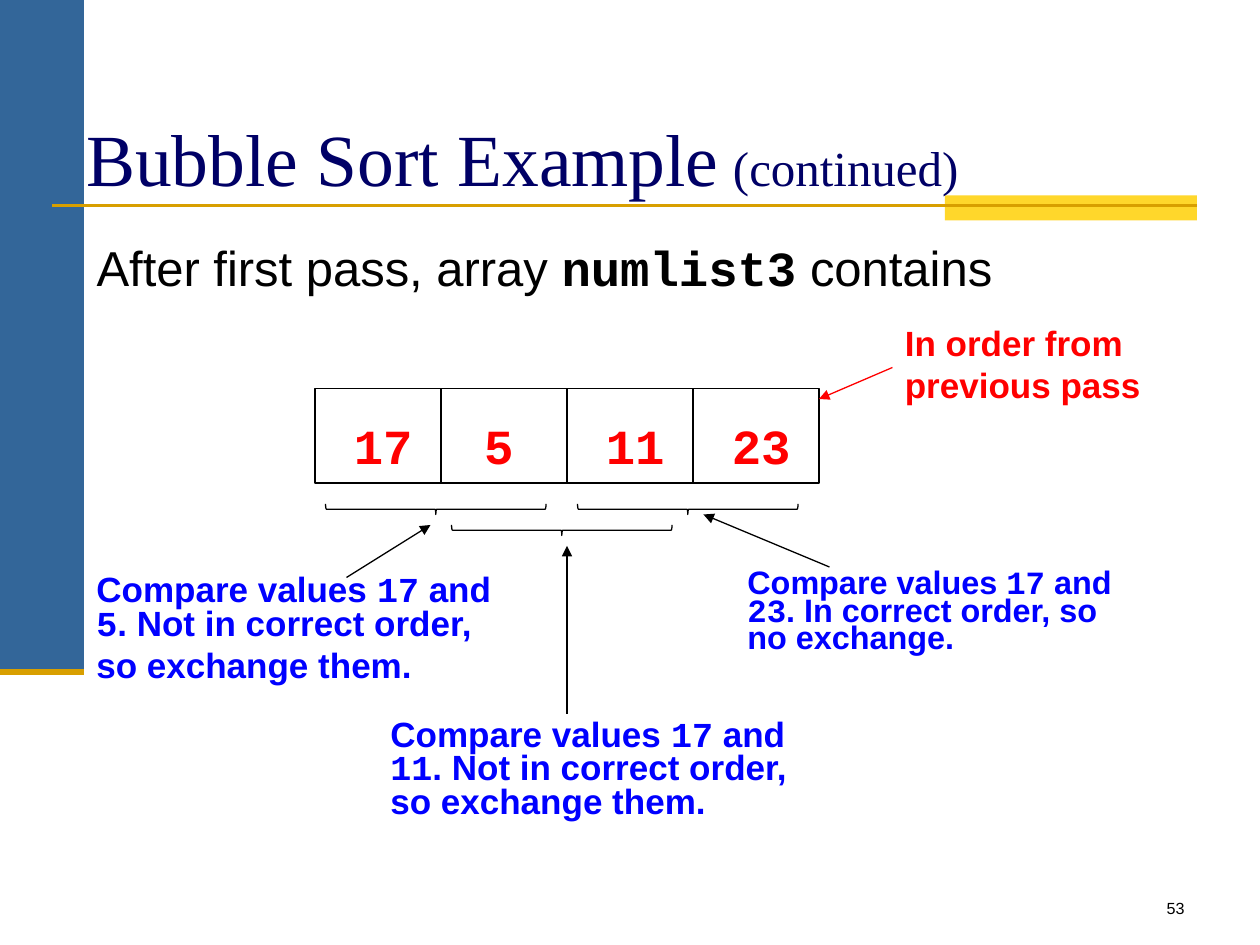
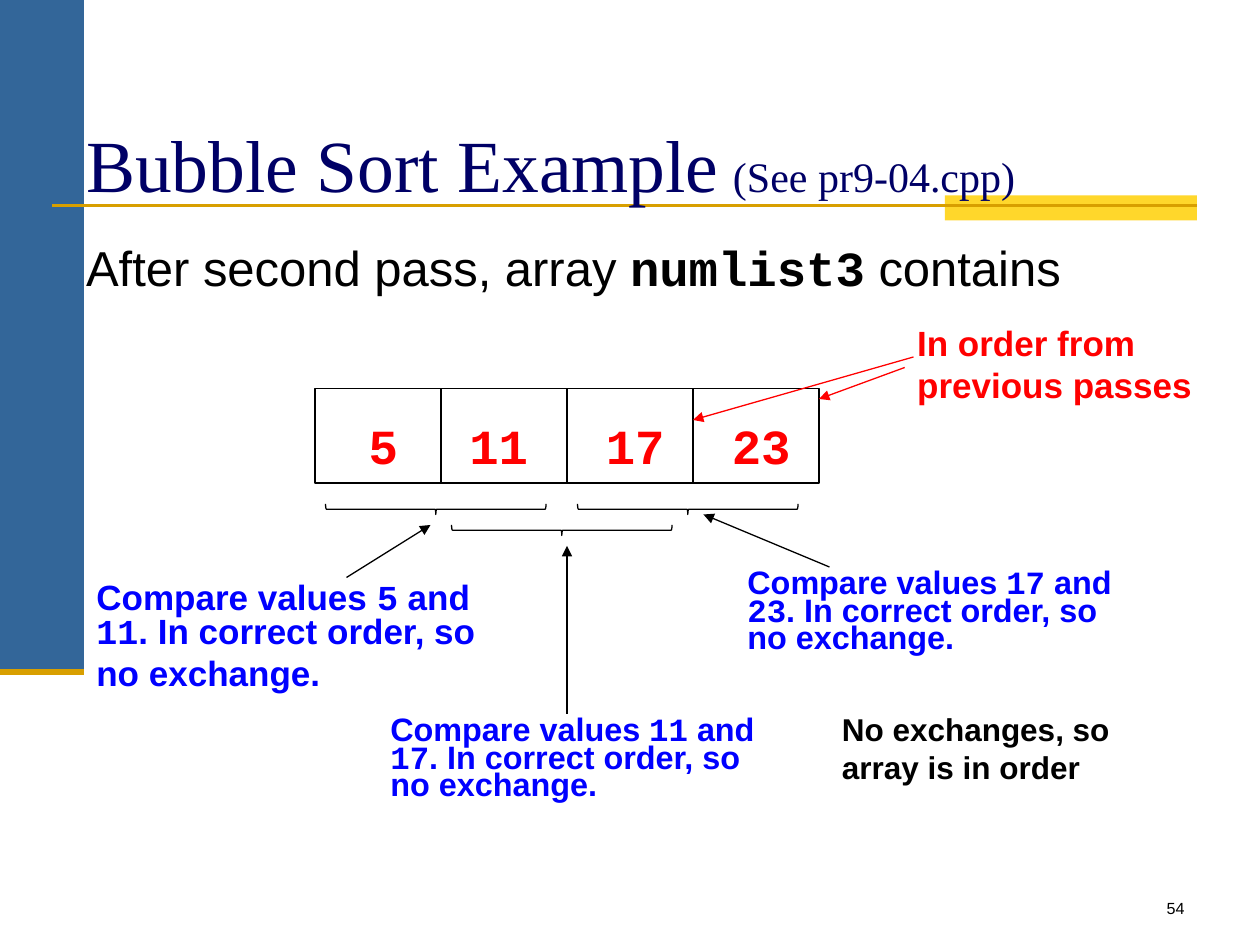
"""Builds two slides that follow the passes of a bubble sort."""
from lxml import etree
from pptx import Presentation
from pptx.dml.color import RGBColor
from pptx.enum.shapes import MSO_CONNECTOR, MSO_SHAPE
from pptx.enum.text import MSO_ANCHOR, MSO_AUTO_SIZE, PP_ALIGN
from pptx.oxml.ns import qn
from pptx.util import Pt

RECTANGLE, BRACE = MSO_SHAPE.RECTANGLE, MSO_SHAPE.RIGHT_BRACE
STRAIGHT = MSO_CONNECTOR.STRAIGHT
LEFT, CENTER, RIGHT = PP_ALIGN.LEFT, PP_ALIGN.CENTER, PP_ALIGN.RIGHT
TOP, MIDDLE = MSO_ANCHOR.TOP, MSO_ANCHOR.MIDDLE
NO_AUTOFIT = MSO_AUTO_SIZE.NONE

SANS, SERIF, MONO = "Arial", "Times New Roman", "Courier New"
BLACK, RED, BLUE, NAVY = "000000", "FF0000", "0000FF", "000066"
STEEL, YELLOW, GOLD = "336699", "FFD72B", "D89F00"

TITLE = "Bubble Sort Example"
RIGHT_NOTE = {"lines": ["Compare values `17` and", "`23`. In correct order, so", "no exchange."],
              "at": (420, 324, 240, 65), "size": 18.5, "spacing": [0.7, 0.7, 0.7]}
PASSES = [
    {
        "subtitle": "(continued)", "subtitle_size": 28, "title_at": (42, 54, 642, 72),
        "lead": "After first pass, array `numlist3` contains", "lead_at": (48, 132, 672, 348),
        "values": [17, 5, 11, 23],
        "notes": [
            {"lines": ["Compare values `17` and", "`5`. Not in correct order,", "so exchange them."],
             "at": (48, 325.5, 246, 70.5), "size": 20, "spacing": [0.8, 0.8, 1]},
            RIGHT_NOTE,
            {"lines": ["Compare values `17` and", "`11`. Not in correct order,", "so exchange them."],
             "at": (216, 408, 247, 65), "size": 20, "spacing": [0.8, 0.8, 0.8]},
            {"lines": ["In order from previous pass"],
             "at": (510, 180, 150, 55), "size": 20, "color": RED},
        ],
        "sorted_arrows": [(510, 210, 468, 228)],
        "number": 53,
    },
    {
        "subtitle": "(See pr9-04.cpp)", "subtitle_size": 24, "title_at": (42, 54, 642, 78),
        "lead": "After second pass, array `numlist3` contains", "lead_at": (42, 132, 678, 348),
        "values": [5, 11, 17, 23],
        "notes": [
            {"lines": ["Compare values `5` and", "`11`. In correct order, so", "no exchange."],
             "at": (48, 330, 233, 70), "size": 20, "spacing": [0.8, 0.8, 1]},
            RIGHT_NOTE,
            {"lines": ["Compare values `11` and", "`17`. In correct order, so", "no exchange."],
             "at": (216, 408, 240, 65), "size": 18.5, "spacing": [0.7, 0.7, 0.7]},
            {"lines": ["In order from previous passes"],
             "at": (517, 180, 173.5, 55), "size": 20, "color": RED},
            {"lines": ["No exchanges, so", "array is in order"],
             "at": (474, 402, 225, 65), "size": 18, "color": BLACK},
        ],
        "sorted_arrows": [(517, 210, 468, 228), (522, 204, 396, 240)],
        "number": 54,
    },
]

CELL_LEFT, CELL_TOP, CELL_WIDTH, CELL_HEIGHT = 180, 222, 72, 54
VALUE_SHIFTS = [12, 6, 12, 12]
BRACE_TOPS = [228, 240, 228]
NOTE_ARROWS = [(198, 330, 246, 300), (474, 324, 402, 294), (324, 408, 324, 312)]


def rgb(color):
    """Turn a hex string into a colour."""
    return RGBColor.from_string(color)


def points(numbers):
    """Turn plain numbers into lengths in points."""
    return [Pt(number) for number in numbers]


def style(span, font, size, color, bold=False):
    """Format one run."""
    span.font.name = font
    span.font.size = Pt(size)
    span.font.color.rgb = rgb(color)
    span.font.bold = bold


def write(para, text, size, color, bold=False):
    """Write a line whose parts between backticks are bold code."""
    for index, part in enumerate(text.split("`")):
        if part:
            span = para.add_run()
            span.text = part
            is_code = index % 2 == 1
            style(span, MONO if is_code else SANS, size, color, bold or is_code)


def add_text(slide, at, lines, size, color=BLUE, spacing=None, align=LEFT, bold=True):
    """Add a text box with one paragraph for each line."""
    frame = slide.shapes.add_textbox(*points(at)).text_frame
    frame.word_wrap = True
    if align == LEFT:
        frame.margin_right = 0
    for index, line in enumerate(lines):
        para = frame.paragraphs[0] if index == 0 else frame.add_paragraph()
        para.alignment = align
        if spacing:
            para.line_spacing = spacing[index]
        write(para, line, size, color, bold)


def add_shape(slide, kind, at, fill=None, line=None):
    """Add a plain shape with an optional fill and outline."""
    shape = slide.shapes.add_shape(kind, *points(at))
    shape.shadow.inherit = False
    if fill:
        shape.fill.solid()
        shape.fill.fore_color.rgb = rgb(fill)
    else:
        shape.fill.background()
    if line:
        shape.line.color.rgb = rgb(line)
        shape.line.width = Pt(0.75)
    else:
        shape.line.fill.background()
    return shape


def add_line(slide, ends, color, width=0.75, arrow=False):
    """Add a straight line, with an arrowhead at its end if asked."""
    line = slide.shapes.add_connector(STRAIGHT, *points(ends))
    line.line.color.rgb = rgb(color)
    line.line.width = Pt(width)
    if arrow:
        etree.SubElement(line.line._get_or_add_ln(), qn("a:tailEnd"), type="triangle")
    etree.SubElement(line.element.spPr, qn("a:effectLst"))
    return line


def decorate(layout, slide):
    """Draw the shared bands and rules and hand them to the layout."""
    parts = [
        add_shape(slide, RECTANGLE, (0, 0, 48, 384), STEEL),
        add_shape(slide, RECTANGLE, (540, 111.6, 144, 14.4), YELLOW),
        add_line(slide, (30, 117.6, 684, 117.6), GOLD, 1.5),
        add_line(slide, (0, 384, 48, 384), GOLD, 3.5),
    ]
    for part in parts:
        layout.shapes.element.append(part.element)


def prepare(placeholder, at, anchor, space_before):
    """Place a placeholder and return its first paragraph."""
    placeholder.left, placeholder.top, placeholder.width, placeholder.height = points(at)
    frame = placeholder.text_frame
    frame.auto_size = NO_AUTOFIT
    frame.word_wrap = True
    frame.vertical_anchor = anchor
    para = frame.paragraphs[0]
    para.alignment = LEFT
    para.space_before = Pt(space_before)
    return para


def add_heading(slide, content):
    """Fill the title and the lead sentence."""
    para = prepare(slide.shapes.title, content["title_at"], MIDDLE, 7)
    for text, size in ((TITLE, 42), (" ", 32), (content["subtitle"], content["subtitle_size"])):
        span = para.add_run()
        span.text = text
        style(span, SERIF, size, NAVY)
    para = prepare(slide.placeholders[1], content["lead_at"], TOP, 4)
    write(para, content["lead"], 28, BLACK)
    properties = para._p.get_or_add_pPr()
    properties.set("marL", str(Pt(27)))
    properties.set("indent", str(Pt(-27)))
    etree.SubElement(properties, qn("a:buNone"))


def add_array(slide, values):
    """Draw the array cells and the braces under neighbouring pairs."""
    for index, top in enumerate(BRACE_TOPS):
        brace = add_shape(slide, BRACE, (246 + index * CELL_WIDTH, top, 6, 126), line=BLACK)
        brace.rotation = 90
    for index, (value, shift) in enumerate(zip(values, VALUE_SHIFTS)):
        left = CELL_LEFT + index * CELL_WIDTH
        add_shape(slide, RECTANGLE, (left, CELL_TOP, CELL_WIDTH, CELL_HEIGHT), line=BLACK)
        add_text(slide, (left + shift, CELL_TOP + 12, 54, 41), [f"`{value}`"], 28, RED, align=CENTER)


def main():
    """Build the deck."""
    deck = Presentation()
    deck.slide_width, deck.slide_height = Pt(720), Pt(540)
    layout = deck.slide_layouts[1]
    for content in PASSES:
        slide = deck.slides.add_slide(layout)
        if content is PASSES[0]:
            decorate(layout, slide)
        add_heading(slide, content)
        add_array(slide, content["values"])
        for note in content["notes"]:
            add_text(slide, **note)
        for ends in NOTE_ARROWS:
            add_line(slide, ends, BLACK, arrow=True)
        for ends in content["sorted_arrows"]:
            add_line(slide, ends, RED, arrow=True)
        add_text(slide, (534, 510, 150, 18), [str(content["number"])], 9.2, BLACK, align=RIGHT, bold=False)
    deck.save("out.pptx")


if __name__ == "__main__":
    main()
